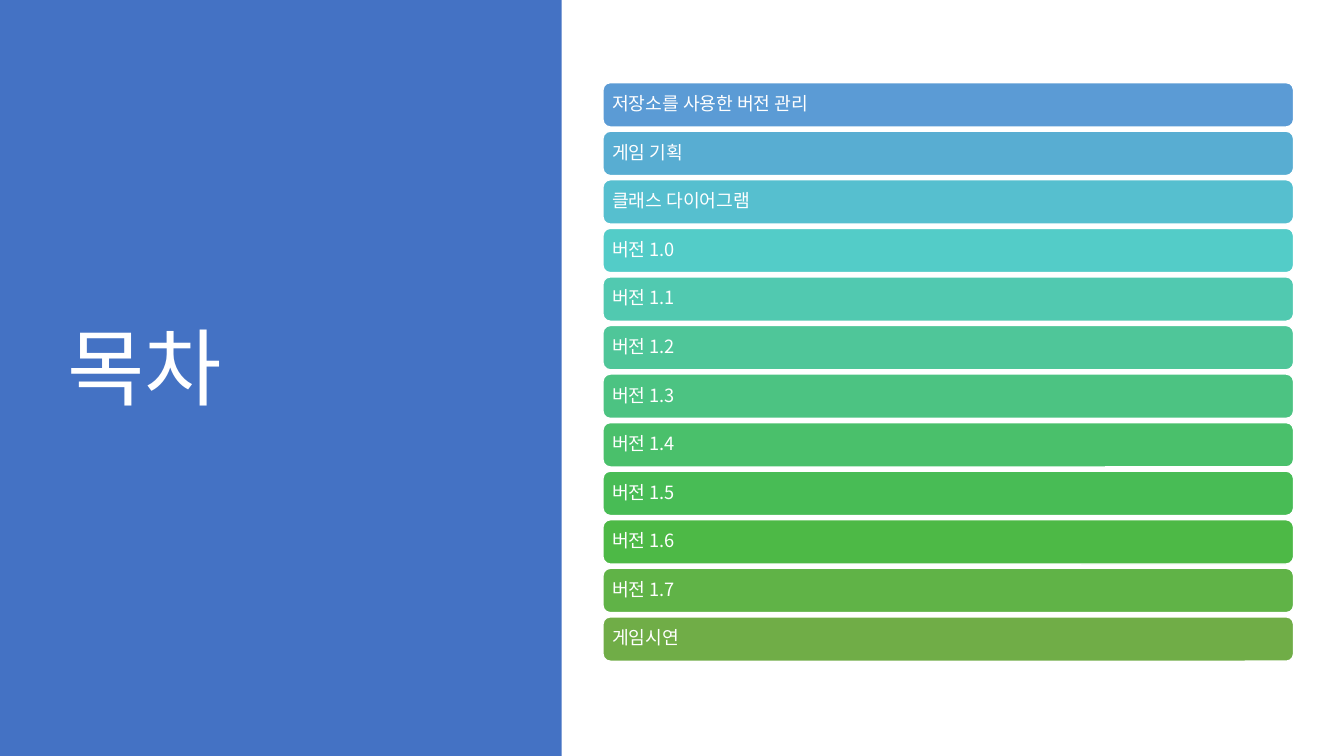
from dataclasses import dataclass

import pptx
import pptx.dml.color
import pptx.enum.shapes
import pptx.enum.text
import pptx.oxml.ns
import pptx.util
from lxml import etree
from pptx.util import Inches, Pt


@dataclass(frozen=True)
class Theme:
    font: str = "Noto Sans CJK KR"
    panel: str = "4472C4"
    white: str = "FFFFFF"
    title_size: float = 60
    item_size: float = 13


THEME = Theme()

TOPICS = [
    ("저장소를 사용한 버전 관리", "5B9BD5"),
    ("게임 기획", "58ADD2"),
    ("클래스 다이어그램", "56BFCF"),
    ("버전 1.0", "53CCC8"),
    ("버전 1.1", "51C9B0"),
    ("버전 1.2", "4FC699"),
    ("버전 1.3", "4CC382"),
    ("버전 1.4", "4AC06B"),
    ("버전 1.5", "48BC55"),
    ("버전 1.6", "4DB946"),
    ("버전 1.7", "60B347"),
    ("게임시연", "70AD47"),
]
FIRST_TOP, LAST_TOP = 0.82, 6.12


def rgb(color):
    return pptx.dml.color.RGBColor.from_string(color)


def add_block(slide, kind, box, fill, line=None):
    sp = slide.shapes.add_shape(kind, *map(Inches, box))
    sp.shadow.inherit = False
    sp.fill.solid()
    sp.fill.fore_color.rgb = rgb(fill)
    if line:
        sp.line.color.rgb = rgb(line)
        sp.line.width = Pt(1)
    else:
        sp.line.fill.background()
    return sp


def write(tf, text, size):
    tf.word_wrap = True
    tf.vertical_anchor = pptx.enum.text.MSO_ANCHOR.MIDDLE
    p = tf.paragraphs[0]
    p.text = text
    p.alignment = pptx.enum.text.PP_ALIGN.LEFT
    p.line_spacing = 0.9
    p.font.size = Pt(size)
    p.font.color.rgb = rgb(THEME.white)
    p.font.name = THEME.font
    qn = pptx.oxml.ns.qn
    props = p._p.pPr.find(qn("a:defRPr"))
    etree.SubElement(props, qn("a:ea")).set("typeface", THEME.font)
    return p


def add_title(slide, text):
    tb = slide.shapes.add_textbox(*map(Inches, (0.57, 0.68, 4.16, 6.02)))
    write(tb.text_frame, text, THEME.title_size)


def add_topic(slide, top, text, fill):
    kind = pptx.enum.shapes.MSO_SHAPE.ROUNDED_RECTANGLE
    sp = add_block(slide, kind, (5.98, top, 6.85, 0.44), fill, THEME.white)
    tf = sp.text_frame
    tf.margin_left = tf.margin_right = Inches(0.07)
    tf.margin_top = tf.margin_bottom = Inches(0.05)
    p = write(tf, text, THEME.item_size)
    p.space_after = Pt(0.35 * THEME.item_size)


def main():
    prs = pptx.Presentation()
    prs.slide_width = Inches(13.33)
    prs.slide_height = Inches(7.5)
    slide = prs.slides.add_slide(prs.slide_layouts[6])
    add_block(slide, pptx.enum.shapes.MSO_SHAPE.RECTANGLE,
              (0, 0, 5.57, 7.5), THEME.panel)
    add_title(slide, "목차")
    pitch = (LAST_TOP - FIRST_TOP) / (len(TOPICS) - 1)
    for i, (text, fill) in enumerate(TOPICS):
        add_topic(slide, FIRST_TOP + i * pitch, text, fill)
    prs.save("out.pptx")


if __name__ == "__main__":
    main()
